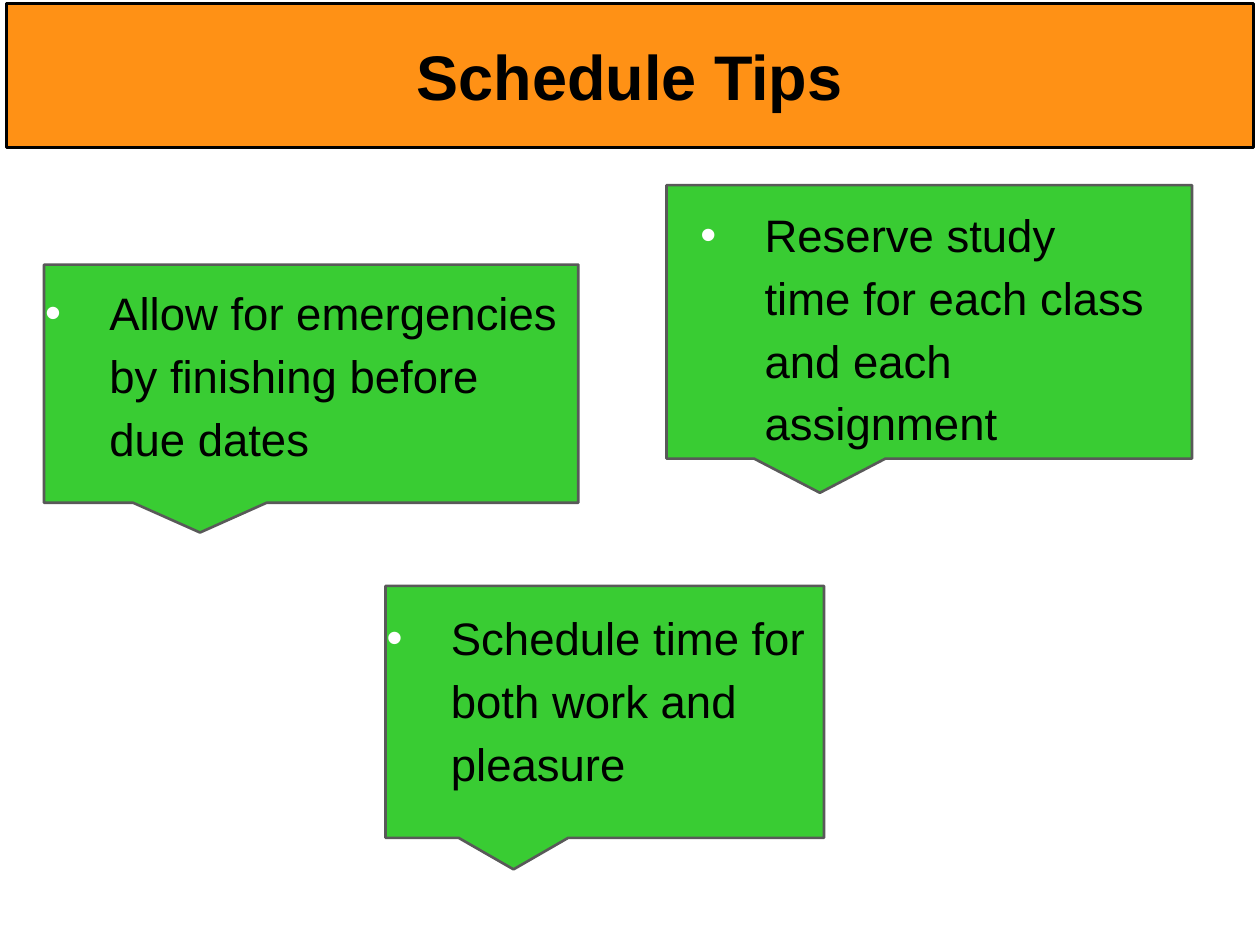
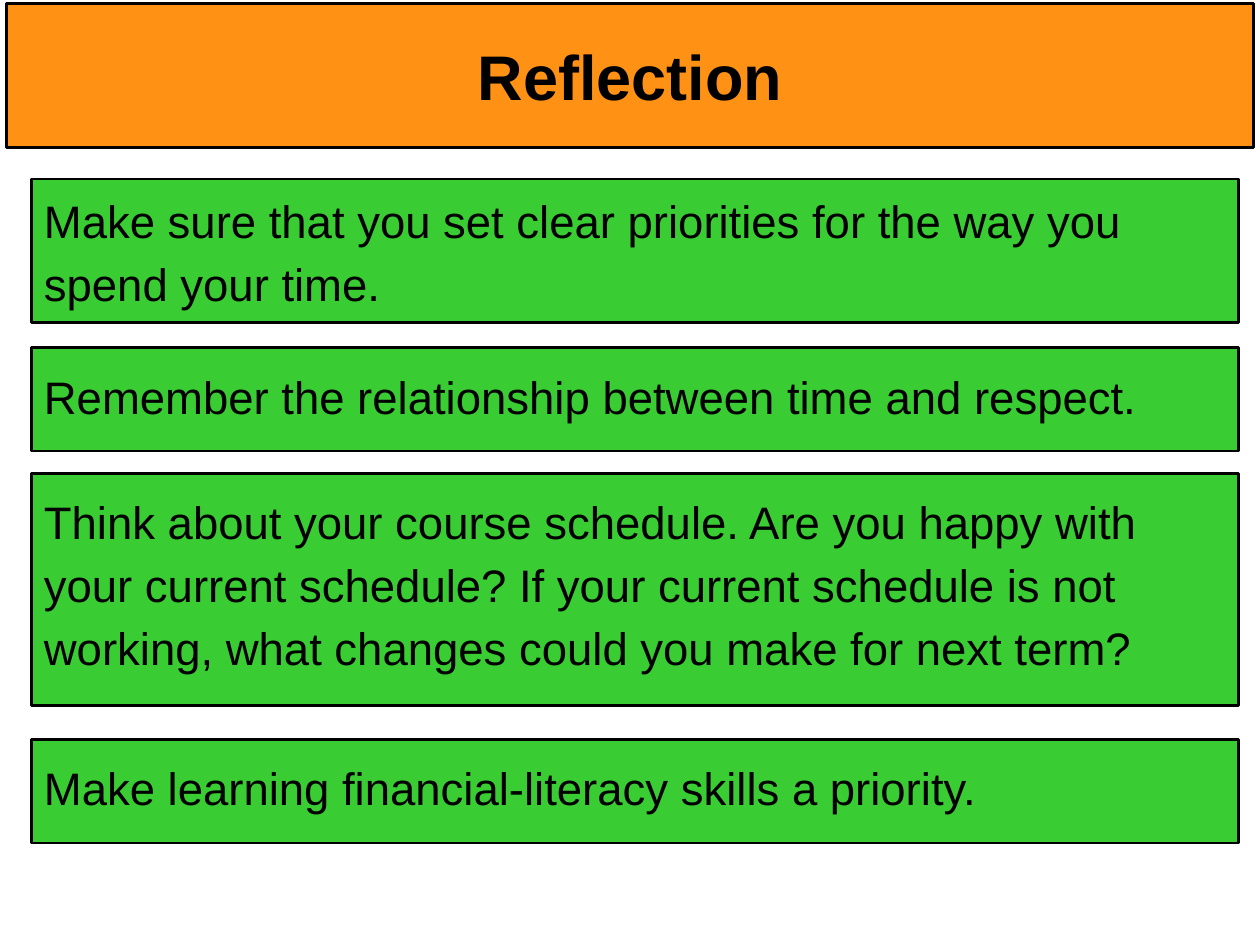
from lxml import etree
from pptx import Presentation
from pptx.dml.color import RGBColor
from pptx.enum.shapes import MSO_SHAPE
from pptx.enum.text import MSO_ANCHOR, PP_ALIGN
from pptx.oxml.ns import qn
from pptx.util import Inches, Pt

RECT = MSO_SHAPE.RECTANGLE
CALLOUT = MSO_SHAPE.ROUNDED_RECTANGULAR_CALLOUT
TOP, MIDDLE = MSO_ANCHOR.TOP, MSO_ANCHOR.MIDDLE
LEFT, CENTER = PP_ALIGN.LEFT, PP_ALIGN.CENTER

FONT = "Arial"
BLACK, WHITE, ORANGE, GREEN, GRAY = "000000", "FFFFFF", "FF9115", "39CC33", "595959"
TITLE_BAND = (0.05, 0.03, 9.9, 1.14)
POINTER = (-0.208, 0.625, 0)
BULLET_INDENT = 0.51

TIPS_TITLE = "Schedule Tips"
TIPS = [
    {"text": "Reserve study time for each class and each assignment",
     "callout": (5.29, 1.47, 4.17, 2.17), "box": (5.46, 1.53, 3.78, 1.89), "pad": 0.05},
    {"text": "Schedule time for both work and pleasure",
     "callout": (3.06, 4.65, 3.48, 2), "box": (2.97, 4.68, 3.65, 1.89), "pad": 0.1},
    {"text": "Allow for emergencies by finishing before due dates",
     "callout": (0.35, 2.1, 4.24, 1.89), "box": (0.26, 2.1, 4.33, 1.75), "pad": 0.1},
]

REFLECTION_TITLE = "Reflection"
REFLECTION_LEFT, REFLECTION_WIDTH = 0.25, 9.58
REFLECTIONS = [
    (1.42, 1.14, 0.05, "Make sure that you set clear priorities for the way you spend your time."),
    (2.76, 0.82, 0.1, "Remember the relationship between time and respect."),
    (3.76, 1.84, 0.1, "Think about your course schedule. Are you happy with your current schedule? "
                      "If your current schedule is not working, what changes could you make for next term?"),
    (5.87, 0.82, 0.1, "Make learning financial-literacy skills a priority."),
]


def rgb(value):
    return RGBColor.from_string(value)


def add_panel(s, kind, at, fill, line=BLACK):
    sp = s.shapes.add_shape(kind, *map(Inches, at))
    sp.shadow.inherit = False
    sp.fill.solid()
    sp.fill.fore_color.rgb = rgb(fill)
    sp.line.color.rgb = rgb(line)
    sp.line.width = Pt(1.5)
    return sp


def add_bullet(p):
    pPr = p._p.get_or_add_pPr()
    pPr.set("marL", str(Inches(BULLET_INDENT)))
    pPr.set("indent", str(-Inches(BULLET_INDENT)))
    color = etree.SubElement(pPr, qn("a:buClr"))
    etree.SubElement(color, qn("a:srgbClr"), val=WHITE)
    etree.SubElement(pPr, qn("a:buFont"), typeface=FONT)
    etree.SubElement(pPr, qn("a:buChar"), char="•")


def set_text(sp, text, size=26, bold=False, align=LEFT, anchor=TOP,
             pad=0.1, spacing=1.15, before=6.2, bullet=False):
    tf = sp.text_frame
    tf.word_wrap = True
    tf.vertical_anchor = anchor
    tf.margin_left = tf.margin_right = Inches(0.1)
    tf.margin_top = tf.margin_bottom = Inches(pad)
    p = tf.paragraphs[0]
    p.alignment = align
    p.line_spacing = spacing
    p.space_before = Pt(before)
    if bullet:
        add_bullet(p)
    r = p.add_run()
    r.text = text
    r.font.name = FONT
    r.font.size = Pt(size)
    r.font.bold = bold
    r.font.color.rgb = rgb(BLACK)


def add_titled_slide(prs, title):
    s = prs.slides.add_slide(prs.slide_layouts[6])
    band = add_panel(s, RECT, TITLE_BAND, ORANGE)
    set_text(band, title, size=36, bold=True, align=CENTER, anchor=MIDDLE,
             pad=0.05, spacing=1.0, before=0)
    return s


def build_tips(prs):
    s = add_titled_slide(prs, TIPS_TITLE)
    for tip in TIPS:
        callout = add_panel(s, CALLOUT, tip["callout"], GREEN, line=GRAY)
        for i, value in enumerate(POINTER):
            callout.adjustments[i] = value
        box = s.shapes.add_textbox(*map(Inches, tip["box"]))
        set_text(box, tip["text"], pad=tip["pad"], bullet=True)


def build_reflection(prs):
    s = add_titled_slide(prs, REFLECTION_TITLE)
    for top, height, pad, text in REFLECTIONS:
        panel = add_panel(s, RECT, (REFLECTION_LEFT, top, REFLECTION_WIDTH, height), GREEN)
        set_text(panel, text, pad=pad)


def main():
    prs = Presentation()
    prs.slide_width, prs.slide_height = Inches(10), Inches(7.5)
    build_tips(prs)
    build_reflection(prs)
    prs.save("out.pptx")


if __name__ == "__main__":
    main()
